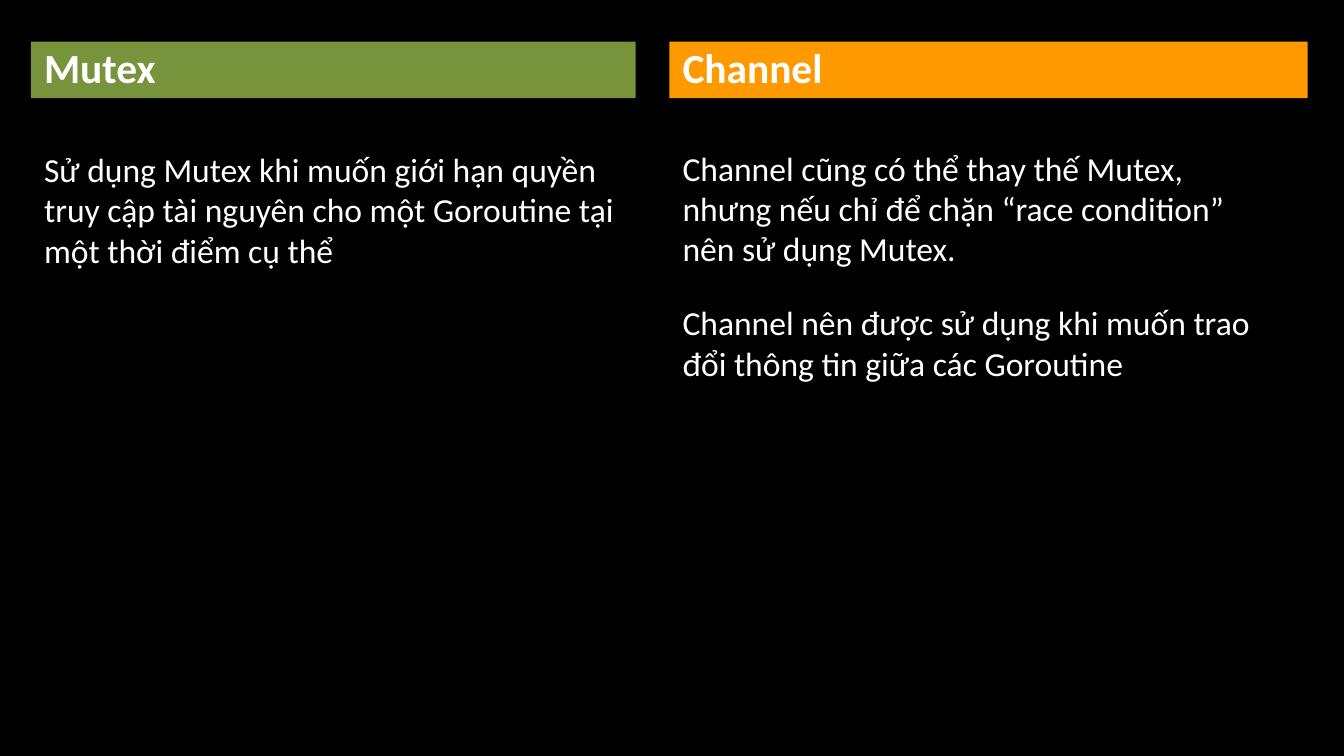
from pptx import Presentation
from pptx.dml.color import RGBColor
from pptx.enum.shapes import MSO_SHAPE
from pptx.enum.text import MSO_ANCHOR, PP_ALIGN
from pptx.util import Inches, Pt

RECT = MSO_SHAPE.RECTANGLE
BOTTOM = MSO_ANCHOR.BOTTOM
LEFT = PP_ALIGN.LEFT


def rgb(color):
    return RGBColor.from_string(color)


def write(tf, paragraphs, size, bold=False):
    tf.word_wrap = True
    tf.text = "\n".join(paragraphs)
    for p in tf.paragraphs:
        p.alignment = LEFT
        p.space_before = Pt(18)
        font = p.runs[0].font
        font.name = "Calibri"
        font.size = Pt(size)
        font.bold = bold
        font.color.rgb = rgb("FFFFFF")


prs = Presentation()
prs.slide_width = Inches(10)
prs.slide_height = Inches(10 * 9 / 16)
s = prs.slides.add_slide(prs.slide_layouts[6])
s.background.fill.solid()
s.background.fill.fore_color.rgb = rgb("000000")

# title, colour, left, header width, body top, body width, body height, paragraphs
columns = [
    ("Mutex", "77933C", 0.23, 4.5, 1.06, 4.5, 3.58, [
        "Sử dụng Mutex khi muốn giới hạn quyền truy cập tài nguyên "
        "cho một Goroutine tại một thời điểm cụ thể",
    ]),
    ("Channel", "FF9900", 4.98, 4.75, 1.05, 4.48, 3, [
        "Channel cũng có thể thay thế Mutex, nhưng nếu chỉ để chặn "
        "“race condition” nên sử dụng Mutex.",
        "Channel nên được sử dụng khi muốn trao đổi thông tin giữa các Goroutine",
    ]),
]

for title, color, left, header_width, top, width, height, paragraphs in columns:
    header = s.shapes.add_shape(
        RECT, Inches(left), Inches(0.31), Inches(header_width), Inches(0.42))
    header.shadow.inherit = False
    header.fill.solid()
    header.fill.fore_color.rgb = rgb(color)
    header.line.fill.background()
    header.text_frame.vertical_anchor = BOTTOM
    write(header.text_frame, [title], 22.2, bold=True)

    body = s.shapes.add_textbox(
        Inches(left), Inches(top), Inches(width), Inches(height))
    write(body.text_frame, paragraphs, 18)

prs.save("out.pptx")
